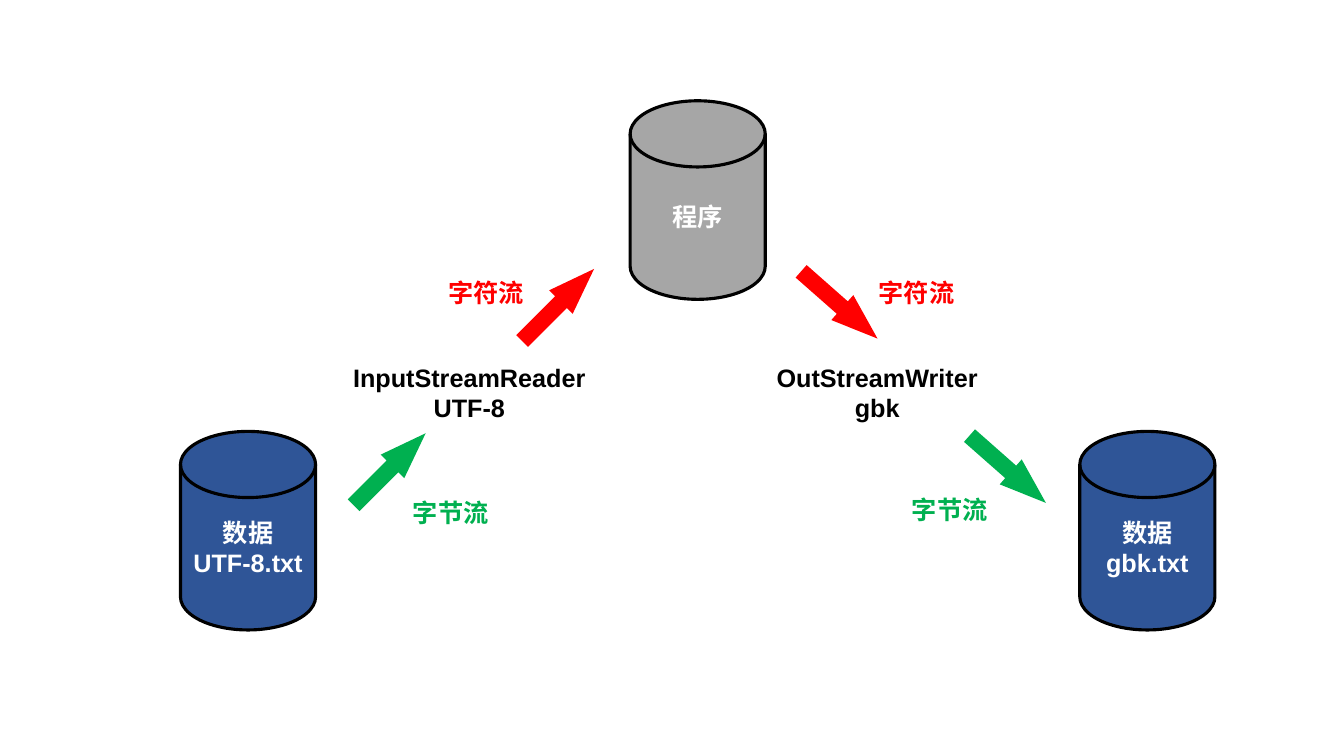
import pptx
import pptx.util
import pptx.dml.color
import pptx.enum.shapes
import pptx.enum.text
import pptx.oxml.ns
from dataclasses import dataclass
from lxml import etree

Inches, Pt = pptx.util.Inches, pptx.util.Pt
SHAPE = pptx.enum.shapes.MSO_SHAPE


@dataclass(frozen=True)
class Theme:
    """Colours, fonts and sizes of the slide."""
    data: str = "2F5597"
    program: str = "A6A6A6"
    bytes: str = "00B050"
    chars: str = "FF0000"
    ink: str = "000000"
    white: str = "FFFFFF"
    latin: str = "Arial"
    cjk: str = "Noto Sans CJK SC"
    size: float = 18
    outline: float = 2.25


T = Theme()
DISK_SIZE = (1.34, 1.97)
ARROW_SIZE = (0.33, 1.01)
UP_RIGHT, DOWN_RIGHT = 225, 311.4

# left, top, fill, lines
DISKS = [
    (1.79, 4.28, T.data, ["数据", "UTF-8.txt"]),
    (10.71, 4.28, T.data, ["数据", "gbk.txt"]),
    (6.25, 1, T.program, ["程序"]),
]
# left, top, rotation, fill
ARROWS = [
    (3.7, 4.15, UP_RIGHT, T.bytes),
    (5.37, 2.52, UP_RIGHT, T.chars),
    (8.16, 2.52, DOWN_RIGHT, T.chars),
    (9.83, 4.15, DOWN_RIGHT, T.bytes),
]
# left, top, width, height, colour, font, lines
LABELS = [
    (3.39, 3.54, 2.53, 0.71, T.ink, T.latin, ["InputStreamReader", "UTF-8"]),
    (7.59, 3.54, 2.22, 0.71, T.ink, T.latin, ["OutStreamWriter", "gbk"]),
    (3.99, 4.88, 0.96, 0.4, T.bytes, T.cjk, ["字节流"]),
    (8.94, 4.86, 0.96, 0.4, T.bytes, T.cjk, ["字节流"]),
    (4.34, 2.7, 0.96, 0.4, T.chars, T.cjk, ["字符流"]),
    (8.61, 2.7, 0.96, 0.4, T.chars, T.cjk, ["字符流"]),
]


def rgb(value):
    """Turn a hex string into a colour."""
    return pptx.dml.color.RGBColor.from_string(value)


def write(sp, lines, color=T.ink, font=T.latin, anchor="TOP", wrap=True):
    """Write centred bold lines into a shape, one paragraph each."""
    tf = sp.text_frame
    tf.word_wrap = wrap
    tf.vertical_anchor = pptx.enum.text.MSO_ANCHOR[anchor]
    for i, line in enumerate(lines):
        p = tf.add_paragraph() if i else tf.paragraphs[0]
        p.alignment = pptx.enum.text.PP_ALIGN.CENTER
        r = p.add_run()
        r.text = line
        r.font.size, r.font.bold, r.font.name = Pt(T.size), True, font
        r.font.color.rgb = rgb(color)
        ea = etree.SubElement(r.font._element, pptx.oxml.ns.qn("a:ea"))
        ea.set("typeface", T.cjk)


def add_preset(s, kind, left, top, size, fill):
    """Add a flat filled preset shape without an outline."""
    sp = s.shapes.add_shape(kind, *map(Inches, (left, top, *size)))
    sp.shadow.inherit = False
    sp.fill.solid()
    sp.fill.fore_color.rgb = rgb(fill)
    sp.line.fill.background()
    return sp


def add_disk(s, left, top, fill, lines):
    """Add an outlined storage cylinder with its caption."""
    sp = add_preset(s, SHAPE.FLOWCHART_MAGNETIC_DISK, left, top, DISK_SIZE, fill)
    sp.line.color.rgb = rgb(T.ink)
    sp.line.width = Pt(T.outline)
    write(sp, lines, color=T.white, anchor="MIDDLE")


def add_arrow(s, left, top, rotation, fill):
    """Add a long-headed block arrow turned along the flow."""
    sp = add_preset(s, SHAPE.DOWN_ARROW, left, top, ARROW_SIZE, fill)
    sp.adjustments[0], sp.adjustments[1] = 0.5, 1.41
    sp.rotation = rotation


def add_label(s, left, top, width, height, color, font, lines):
    """Add a free-standing label."""
    sp = s.shapes.add_textbox(*map(Inches, (left, top, width, height)))
    write(sp, lines, color=color, font=font, wrap=False)


prs = pptx.Presentation()
prs.slide_width, prs.slide_height = Inches(13.33), Inches(7.5)
s = prs.slides.add_slide(prs.slide_layouts[6])
for add, items in ((add_disk, DISKS), (add_arrow, ARROWS), (add_label, LABELS)):
    for item in items:
        add(s, *item)
prs.save("out.pptx")
